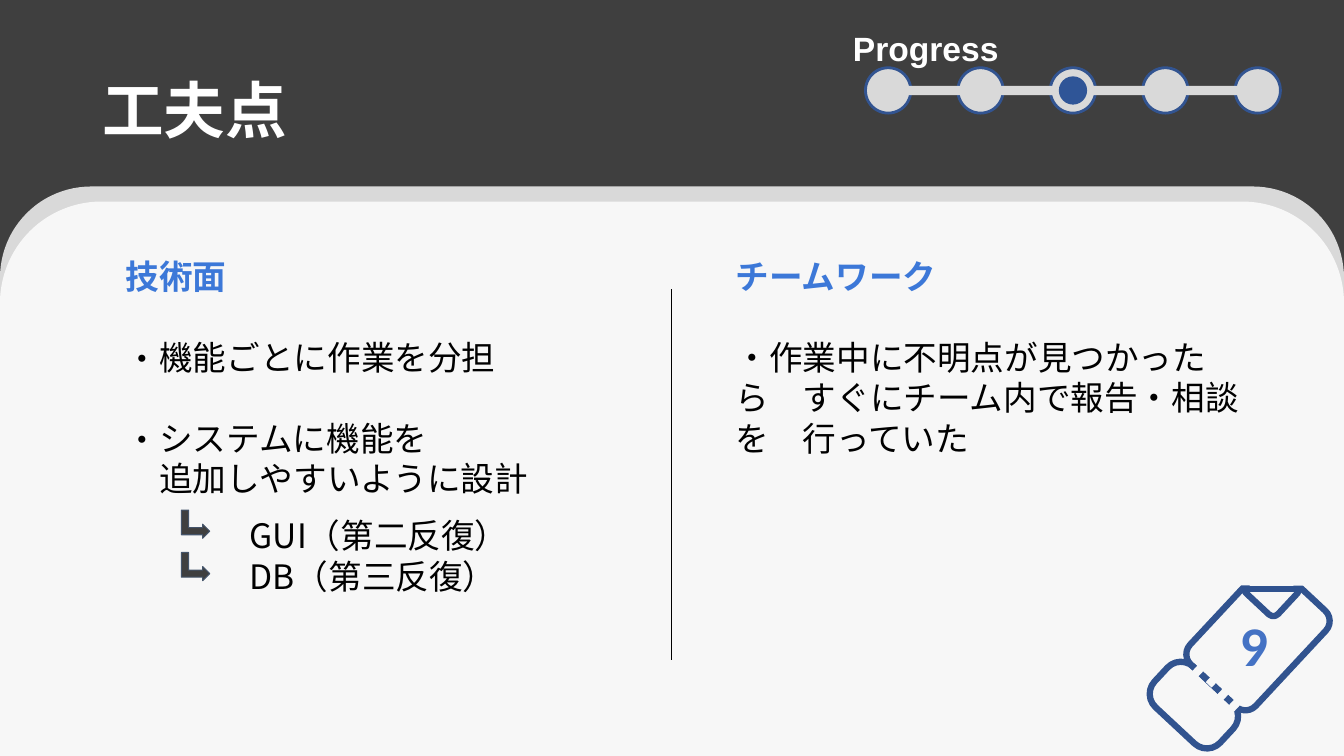
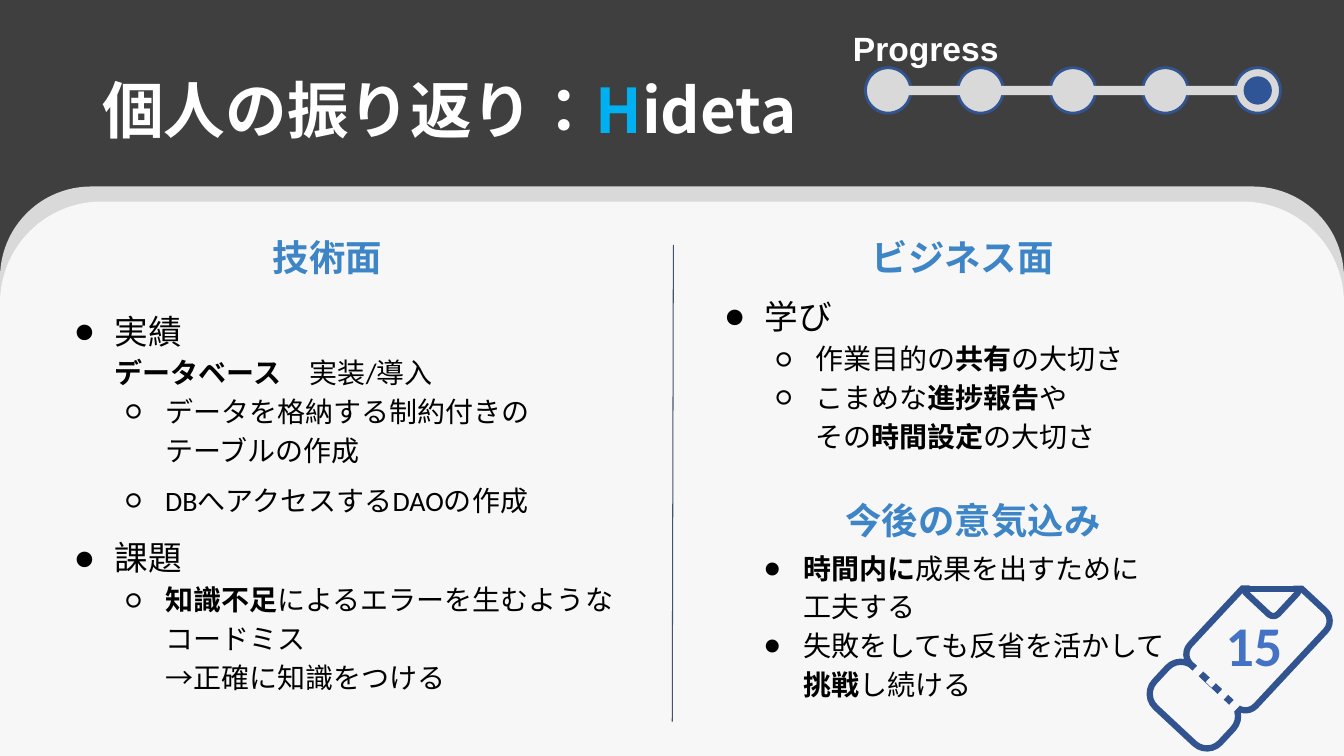
from lxml.etree import SubElement
from pptx import Presentation
from pptx.dml.color import RGBColor
from pptx.enum.lang import MSO_LANGUAGE_ID
from pptx.enum.shapes import MSO_CONNECTOR, MSO_SHAPE
from pptx.enum.text import MSO_ANCHOR, PP_ALIGN
from pptx.oxml.ns import qn
from pptx.util import Pt

COLORS = {
    "dark": "3F3F3F", "edge": "D9D9D9", "panel": "F7F7F7", "white": "FFFFFF",
    "black": "000000", "ticket": "31538F", "fold": "2F528F", "number": "4472C4",
    "ring": "325491", "dot": "2F5597", "slate": "44546A", "cyan": "00B0F0",
    "head": "3C78D8", "topic": "3D85C6",
}
CJK = "Noto Sans CJK JP"
W, H = 960, 540
STEPS = 5

BOLD = {"bold": True}
ITEM = {"left": 36, "indent": -28.8, "bullet": "●", "size": 24}
SUB = {"left": 72, "indent": -28, "bullet": "○", "level": 1, "spacing": 1.15}
GOAL = {"left": 36, "indent": -28, "bullet": "●", "spacing": 1.15}
HEAD = {"color": "head", "bold": True}
DOT = {"left": 24, "indent": -24, "bullet": "・", "bullet_font": CJK, "before": 29}

SLIDES = [
    {
        "title": [("工夫点", {})], "title_font": "Calibri", "number": "9", "step": 2,
        "divider": ((480, 206.6), (480, 471.6), "black"),
        "texts": [
            ((518.4, 175.7, 386.6, 342.7), {"size": 24, "font": CJK}, [
                ([("チームワーク", {})], HEAD),
                ([("・作業中に不明点が見つかったら　すぐにチーム内で報告・相談を　行っていた", {})],
                 {"before": 29}),
            ]),
            ((82.8, 175.7, 386.6, 354.2), {"size": 24, "font": CJK}, [
                ([("技術面", {})], HEAD),
                ([("機能ごとに作業を分担", {})], DOT),
                ([("システムに機能を\n追加しやすいように設計", {})], DOT),
                ([("GUI（第二反復）", {})], {"left": 88.5, "before": 12}),
                ([("DB（第三反復）", {})], {"left": 88.5}),
            ]),
        ],
        "arrows": [(129.6, 364.3), (129.6, 394.6)],
    },
    {
        "title": [("個人の振り返り：", {}), ("H", {"color": "cyan"}), ("ideta", {})],
        "title_font": CJK, "number": "15", "step": 4,
        "divider": ((481, 175), (480.2, 515.5), "slate"),
        "texts": [
            ((38.9, 200.2, 419.8, 313.2), {"size": 20}, [
                ([("実績", {})], {**ITEM, "spacing": 1.5}),
                ([("データベース", BOLD), ("　実装/導入", {})], {"left": 36, "spacing": 1.15}),
                ([("データを格納する制約付きの\nテーブルの作成", {})], SUB),
                ([("DBへアクセスするDAOの作成", {})], {**SUB, "spacing": 1.5}),
                ([("課題", {})], {**ITEM, "spacing": 1.5}),
                ([("知識不足", BOLD),
                  ("によるエラーを生むようなコードミス\n→正確に知識をつける", {})], SUB),
            ]),
            ((503.3, 200.2, 403.2, 144), {"size": 20}, [
                ([("学び", {})], {**ITEM, "spacing": 1.15}),
                ([("作業目的の", {}), ("共有", BOLD), ("の大切さ", {})], SUB),
                ([("こまめな", {}), ("進捗報告", BOLD), ("や\nその", {}),
                  ("時間設定", BOLD), ("の大切さ", {})], SUB),
            ]),
            ((187.9, 160.6, 102.2, 55.4), {"size": 26, "color": "topic", "bold": True},
             [([("技術面", {})], {})]),
            ((615.6, 160.6, 167, 55.4), {"size": 26, "color": "topic", "bold": True},
             [([("ビジネス面", {})], {})]),
            ((530.6, 383, 347.8, 120.2), {"size": 20}, [
                ([("時間内に", BOLD), ("成果を出すために\n工夫する", {})], GOAL),
                ([("失敗をしても反省を活かして\n", {}), ("挑戦", BOLD), ("し続ける", {})], GOAL),
            ]),
            ((560.9, 344.2, 238.3, 43.9), {"size": 26, "color": "topic", "bold": True},
             [([("今後の意気込み", {})], {"left": 36, "spacing": 1.15})]),
        ],
        "arrows": [],
    },
]

TICKET_PARTS = [
    ((833, 471.6, 39.6, 64.1), 0.328),
    ((851.8, 423.4, 93.6, 64.1), 0.157),
    ((893.5, 404.6, 29.5, 31.7), 0.157),
]
PERFORATIONS = [(849.6, 475.2), (861.1, 481), (868.3, 491), (877, 498.2)]


def rgb(name):
    return RGBColor.from_string(COLORS[name])


def pts(values):
    return [Pt(v) for v in values]


def add_shape(shapes, kind, box, fill=None, line=None, weight=1, adj=(), rot=0):
    sp = shapes.add_shape(kind, *pts(box))
    sp.shadow.inherit = False
    sp.rotation = rot
    for i, value in enumerate(adj):
        sp.adjustments[i] = value
    if fill:
        sp.fill.solid()
        sp.fill.fore_color.rgb = rgb(fill)
    else:
        sp.fill.background()
    if line:
        sp.line.color.rgb = rgb(line)
        sp.line.width = Pt(weight)
    else:
        sp.line.fill.background()
    return sp


def add_line(shapes, start, end, color, weight):
    cx = shapes.add_connector(MSO_CONNECTOR.STRAIGHT, *pts(start + end))
    cx.line.color.rgb = rgb(color)
    cx.line.width = Pt(weight)
    SubElement(cx._element.spPr, qn("a:effectLst"))


def format_paragraph(p, left=0, indent=0, bullet=None, bullet_font="Calibri", level=0,
                     spacing=None, before=0):
    p.level = level
    p.space_before = Pt(before)
    if spacing:
        p.line_spacing = spacing
    ppr = p._p.get_or_add_pPr()
    ppr.set("marL", str(Pt(left)))
    ppr.set("indent", str(Pt(indent)))
    if bullet:
        color = SubElement(ppr, qn("a:buClr"))
        SubElement(color, qn("a:srgbClr")).set("val", COLORS["black"])
        SubElement(ppr, qn("a:buFont")).set("typeface", bullet_font)
        SubElement(ppr, qn("a:buChar")).set("char", bullet)


def add_text(shapes, box, paragraphs, inset=7.2, anchor=MSO_ANCHOR.TOP,
             align=PP_ALIGN.LEFT, language=None, **base):
    tf = shapes.add_textbox(*pts(box)).text_frame
    tf.word_wrap = True
    tf.vertical_anchor = anchor
    tf.margin_left = tf.margin_right = Pt(7.2)
    tf.margin_top = tf.margin_bottom = Pt(inset)
    for i, (runs, options) in enumerate(paragraphs):
        p = tf.add_paragraph() if i else tf.paragraphs[0]
        p.alignment = align
        style = {"size": 20, "font": "Calibri", "color": "black", "bold": False, **base}
        layout = {}
        for key, value in options.items():
            (style if key in style else layout)[key] = value
        format_paragraph(p, **layout)
        for text, change in runs:
            look = {**style, **change}
            for j, part in enumerate(text.split("\n")):
                if j:
                    p.add_line_break()
                if part:
                    r = p.add_run()
                    r.text = part
                    r.font.size = Pt(look["size"])
                    r.font.name = look["font"]
                    r.font.bold = look["bold"]
                    r.font.color.rgb = rgb(look["color"])
                    if language:
                        r.font.language_id = language


def add_frame(s, title, font):
    s.background.fill.solid()
    s.background.fill.fore_color.rgb = rgb("dark")
    add_text(s.shapes, (66, 28.8, 828, 104.4), [(title, {"spacing": 0.9})], inset=3.6,
             anchor=MSO_ANCHOR.MIDDLE, language=MSO_LANGUAGE_ID.JAPANESE, size=44,
             font=font, color="white", bold=True)
    for top, color, radius in ((133.2, "edge", 0.16), (144, "panel", 0.183)):
        add_shape(s.shapes, MSO_SHAPE.ROUNDED_RECTANGLE, (0, top, W, H - top),
                  fill=color, adj=[radius])
    add_shape(s.shapes, MSO_SHAPE.RECTANGLE, (0, 471.6, W, H - 471.6), fill="panel")


def add_ticket(s, number):
    group = s.shapes.add_group_shape().shapes
    for box, radius in TICKET_PARTS:
        add_shape(group, MSO_SHAPE.ROUNDED_RECTANGLE, box, line="ticket", weight=4.5,
                  adj=[radius], rot=313)
    add_line(group, (887, 420.5), (930.2, 420.5), "fold", 4.5)
    add_shape(group, MSO_SHAPE.RECTANGLE, (885.6, 395.3, 51.8, 23), fill="panel", rot=0.2)
    for x, y in PERFORATIONS:
        add_shape(group, MSO_SHAPE.RECTANGLE, (x, y, 14.4, 5.8), fill="panel", rot=313)
    add_text(s.shapes, (866.9, 432.7, 57.6, 55.4), [([(number, {})], {})], inset=3.6,
             align=PP_ALIGN.CENTER, size=40, color="number", bold=True)


def add_progress(s, step):
    left, top, size, pitch, dot = 618.2, 48.4, 32.4, 66, 20.2
    for i in range(STEPS):
        add_shape(s.shapes, MSO_SHAPE.OVAL, (left + i * pitch, top, size, size),
                  fill="edge", line="ring", weight=2)
    add_shape(s.shapes, MSO_SHAPE.RECTANGLE, (634.3, 61.4, 260, 6.5), fill="edge")
    add_text(s.shapes, (602.2, 16.4, 127.4, 36), [([("Progress", {})], {})], inset=3.6,
             size=24, font="Arial", color="white", bold=True)
    gap = (size - dot) / 2
    add_shape(s.shapes, MSO_SHAPE.OVAL, (left + step * pitch + gap, top + gap, dot, dot),
              fill="dot")


def main():
    prs = Presentation()
    prs.slide_width, prs.slide_height = Pt(W), Pt(H)
    for page in SLIDES:
        s = prs.slides.add_slide(prs.slide_layouts[6])
        add_frame(s, page["title"], page["title_font"])
        add_ticket(s, page["number"])
        for box, style, paragraphs in page["texts"]:
            add_text(s.shapes, box, paragraphs, **style)
        start, end, color = page["divider"]
        add_line(s.shapes, start, end, color, 0.75)
        for x, y in page["arrows"]:
            add_shape(s.shapes, MSO_SHAPE.BENT_UP_ARROW, (x, y, 20.2, 20.2), fill="dark",
                      line="slate", weight=0.75, adj=[0.25] * 3, rot=90)
        add_progress(s, page["step"])
    prs.save("out.pptx")


if __name__ == "__main__":
    main()
